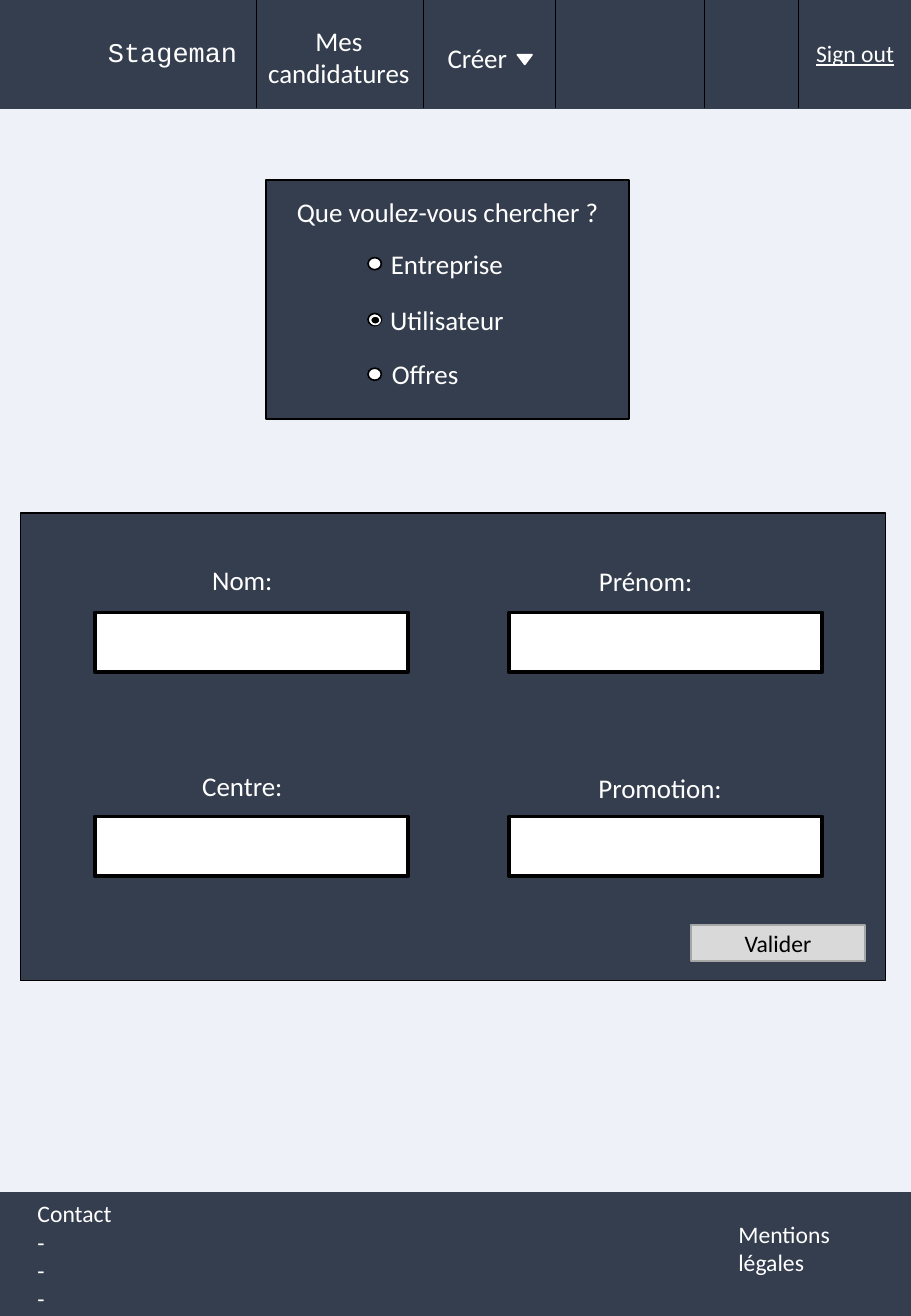
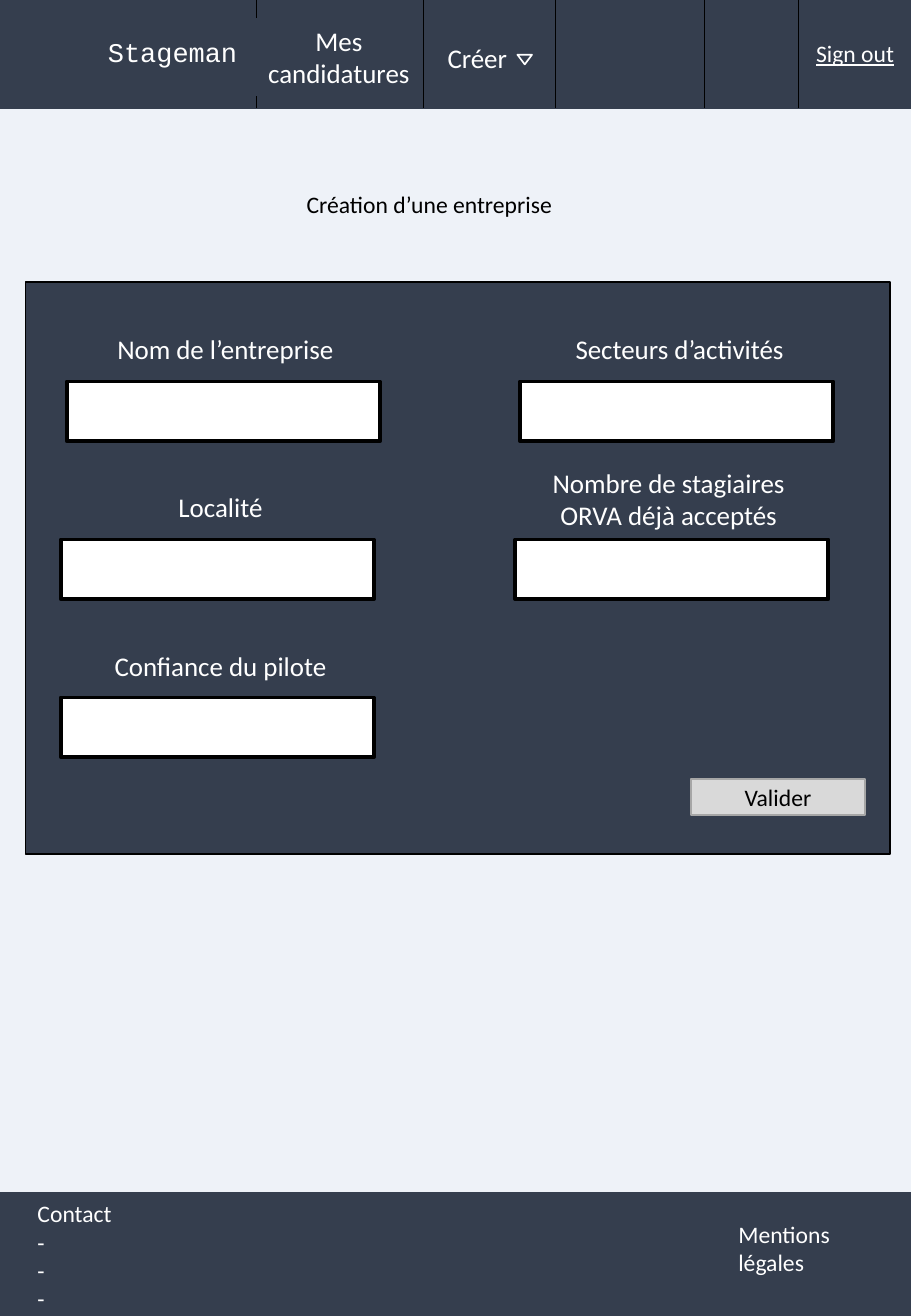
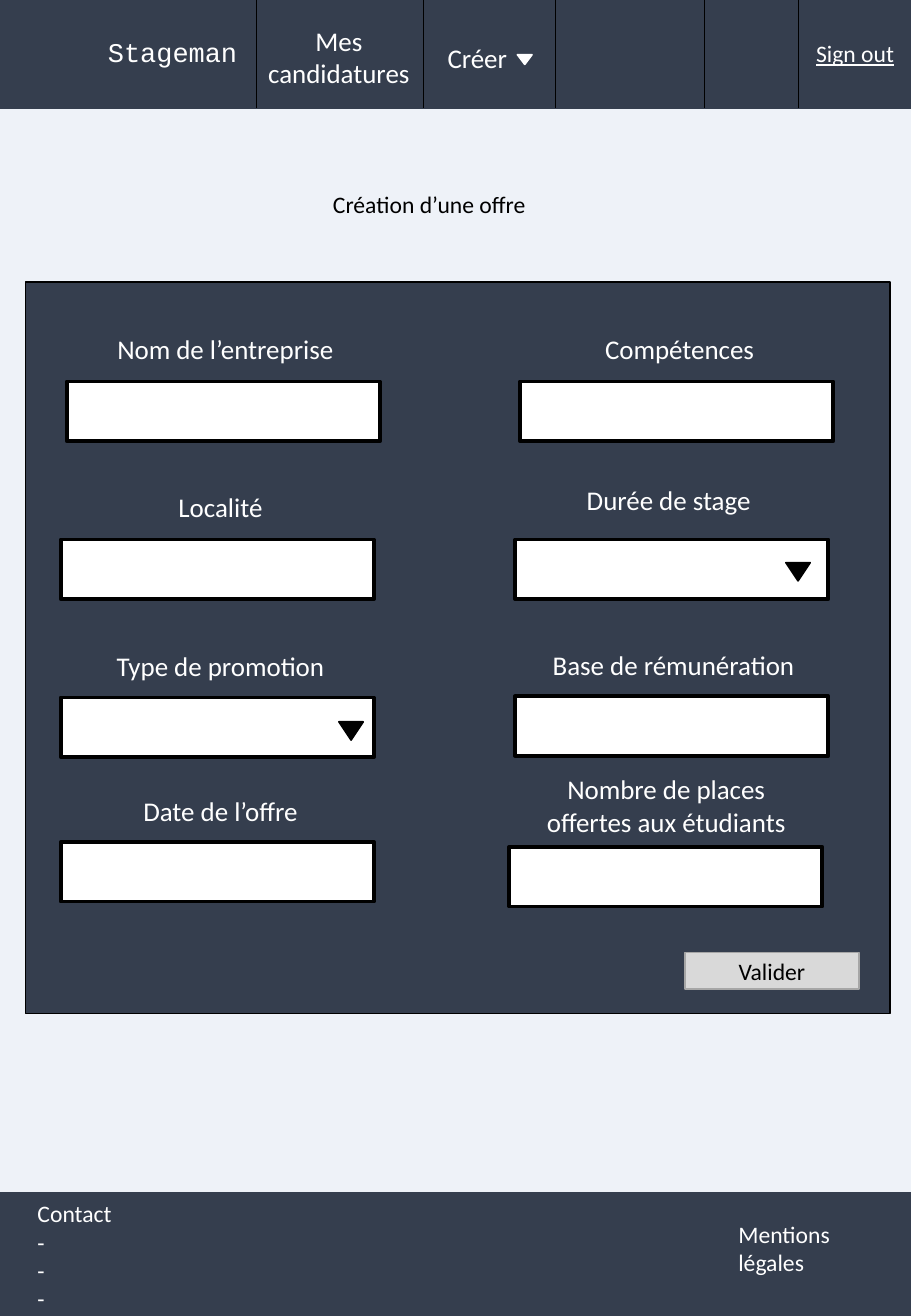
"""Build three wireframe pages of an internship site: a search page and two creation forms."""
from pptx import Presentation
from pptx import util as u
from pptx.dml.color import RGBColor
from pptx.enum import shapes, text
from pptx.oxml.ns import qn
from lxml import etree

COLORS = {"page": "EEF2F8", "panel": "353E4E", "white": "FFFFFF", "black": "000000",
          "button": "D9D9D9", "button_edge": "A6A6A6"}
RECT = shapes.MSO_SHAPE.RECTANGLE
OVAL = shapes.MSO_SHAPE.OVAL
TRIANGLE = shapes.MSO_SHAPE.ISOSCELES_TRIANGLE
LEFT, CENTER = text.PP_ALIGN.LEFT, text.PP_ALIGN.CENTER
FIELD_SIZE = (2.58, 0.49)
LABEL_WIDTH = 2.45
HEADER_HEIGHT = 0.89

NAV = [
    ("Sign out", (6.62, 0.27, 0.88, 0.34), 14, "Calibri", LEFT, (6.57, 5.8)),
    ("Stageman", (0.79, 0.24, 1.62, 0.37), 16, "Courier New", LEFT, (2.11,)),
    ("Mes candidatures", (2.04, 0.15, 1.5, 0.64), 16, "Calibri", CENTER, (3.49,)),
    ("Créer", (3.5, 0.29, 0.86, 0.37), 16, "Calibri", CENTER, (4.57,)),
]

# Each field: label, label left and top, field left and top.
PAGES = [
    {"title": None, "nav_fill": None, "arrow_fill": "white",
     "panel": (0.17, 4.22, 7.12, 3.85), "button": (5.69, 7.61), "dropdowns": [],
     "fields": [("Nom:", 0.77, 4.59, 0.78, 5.04),
                ("Prénom:", 4.09, 4.6, 4.19, 5.04),
                ("Centre:", 0.77, 6.28, 0.78, 6.72),
                ("Promotion:", 4.21, 6.3, 4.19, 6.72)]},
    {"title": "Création d’une entreprise", "nav_fill": "panel", "arrow_fill": "panel",
     "panel": (0.21, 2.32, 7.12, 4.71), "button": (5.69, 6.41), "dropdowns": [],
     "fields": [("Nom de l’entreprise", 0.63, 2.69, 0.55, 3.14),
                ("Secteurs d’activités", 4.37, 2.69, 4.28, 3.14),
                ("Localité", 0.59, 3.99, 0.5, 4.44),
                ("Nombre de stagiaires ORVA déjà acceptés", 4.28, 3.79, 4.24, 4.44),
                ("Confiance du pilote", 0.59, 5.3, 0.5, 5.74)]},
    {"title": "Création d’une offre", "nav_fill": None, "arrow_fill": "white",
     "panel": (0.21, 2.32, 7.12, 6.02), "button": (5.64, 7.84),
     "dropdowns": [(2.79, 5.94), (6.47, 4.63)],
     "fields": [("Nom de l’entreprise", 0.63, 2.69, 0.55, 3.14),
                ("Compétences", 4.37, 2.69, 4.28, 3.14),
                ("Localité", 0.59, 3.99, 0.5, 4.44),
                ("Durée de stage", 4.28, 3.93, 4.24, 4.44),
                ("Type de promotion", 0.59, 5.3, 0.5, 5.74),
                ("Base de rémunération", 4.32, 5.29, 4.24, 5.73),
                ("Date de l’offre", 0.59, 6.49, 0.5, 6.93),
                ("Nombre de places offertes aux étudiants", 4.26, 6.31, 4.19, 6.97)]},
]


def draw(parent, kind, at, fill, line, width=1):
    shape = parent.add_shape(kind, *map(u.Inches, at))
    shape.shadow.inherit = False
    shape.fill.solid()
    shape.fill.fore_color.rgb = RGBColor.from_string(COLORS[fill])
    shape.line.color.rgb = RGBColor.from_string(COLORS[line])
    shape.line.width = u.Pt(width)
    if kind == TRIANGLE:
        shape.rotation = 180
    return shape


def write(shape, words, size=16, color="white", align=CENTER, font="Calibri"):
    frame = shape.text_frame
    frame.word_wrap = True
    frame.text = words
    for paragraph in frame.paragraphs:
        paragraph.alignment = align
        paragraph.font.size = u.Pt(size)
        paragraph.font.name = font
        paragraph.font.color.rgb = RGBColor.from_string(COLORS[color])
    return shape


deck = Presentation()
deck.slide_width, deck.slide_height = u.Inches(7.5), u.Inches(10.83)
backdrop = deck.slide_master.background.fill
backdrop.solid()
backdrop.fore_color.rgb = RGBColor.from_string(COLORS["page"])

for page in PAGES:
    canvas = deck.slides.add_slide(deck.slide_layouts[6]).shapes

    draw(canvas, RECT, (0, 9.82, 7.5, 1.01), "panel", "panel")
    for words, at in [("Contact\n-\n-\n-", (0.21, 9.82, 1.31, 1.04)),
                      ("Mentions légales", (5.98, 9.99, 1.31, 0.57))]:
        write(canvas.add_textbox(*map(u.Inches, at)), words, 14, align=LEFT)

    header = canvas.add_group_shape().shapes
    draw(header, RECT, (0, 0, 7.5, HEADER_HEIGHT), "panel", "panel")
    for words, at, size, font, align, dividers in NAV:
        item = write(header.add_textbox(*map(u.Inches, at)), words, size, align=align, font=font)
        if words == "Sign out":
            item.text_frame.paragraphs[0].font.underline = True
        if page["nav_fill"]:
            item.fill.solid()
            item.fill.fore_color.rgb = RGBColor.from_string(COLORS[page["nav_fill"]])
        for x in dividers:
            divider = header.add_connector(shapes.MSO_CONNECTOR.STRAIGHT, u.Inches(x), 0,
                                           u.Inches(x), u.Inches(HEADER_HEIGHT))
            divider.line.color.rgb = RGBColor.from_string(COLORS["black"])
            divider.line.width = u.Pt(0.5)
            etree.SubElement(divider.element.spPr, qn("a:effectLst"))
    draw(header, TRIANGLE, (4.26, 0.45, 0.12, 0.08), page["arrow_fill"], "white")

    if page["title"]:
        title = canvas.add_textbox(*map(u.Inches, (1.81, 1.51, 3.45, 0.34)))
        write(title, page["title"], 14, "black")
    else:
        search = canvas.add_group_shape().shapes
        draw(search, RECT, (2.19, 1.48, 2.99, 1.97), "panel", "black")
        for words, at in [("Que voulez-vous chercher ?", (2.19, 1.56, 2.99, 0.37)),
                          ("Entreprise", (3.11, 1.99, 1.14, 0.37)),
                          ("Utilisateur", (3.11, 2.45, 1.14, 0.37)),
                          ("Offres", (2.93, 2.89, 1.14, 0.37))]:
            write(search.add_textbox(*map(u.Inches, at)), words)
        for y in (2.12, 2.58, 3.03):
            draw(search, OVAL, (3.03, y, 0.11, 0.1), "white", "black")
        draw(search, OVAL, (3.05, 2.6, 0.08, 0.07), "black", "white")

    draw(canvas, RECT, page["panel"], "panel", "black")
    for words, label_x, label_y, field_x, field_y in page["fields"]:
        draw(canvas, RECT, (field_x, field_y, *FIELD_SIZE), "white", "black", 2.25)
        label_height = 0.64 if field_y - label_y > 0.6 else 0.37
        label_at = (label_x, label_y, LABEL_WIDTH, label_height)
        write(canvas.add_textbox(*map(u.Inches, label_at)), words)
    for corner in page["dropdowns"]:
        draw(canvas, TRIANGLE, (*corner, 0.2, 0.15), "black", "black")
    button = draw(canvas, RECT, (*page["button"], 1.43, 0.3), "button", "button_edge")
    write(button, "Valider", 14, "black")

deck.save("out.pptx")
